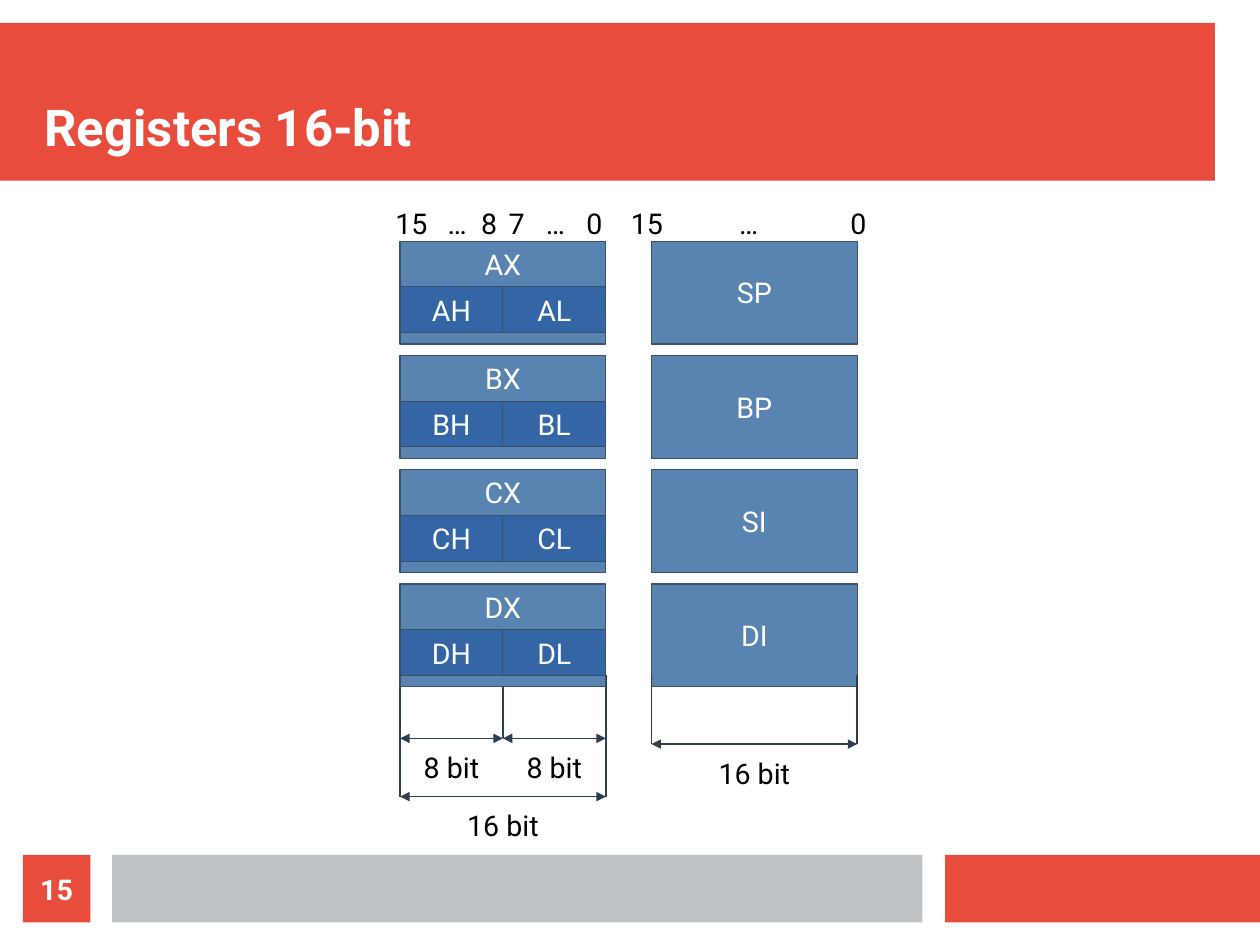
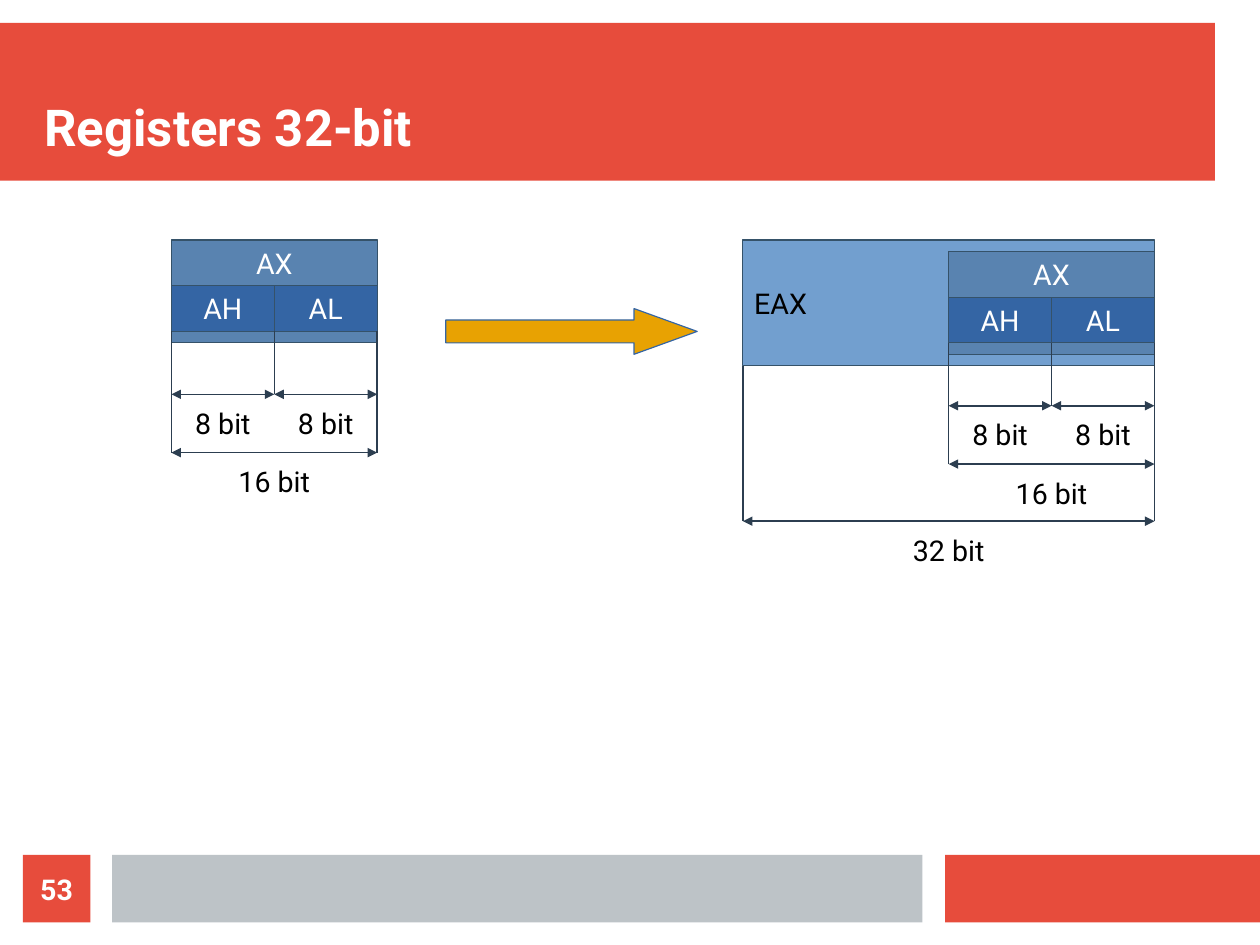
from lxml import etree
from pptx import Presentation
from pptx import util as u
from pptx.dml.color import RGBColor
from pptx.enum import shapes, text
from pptx.oxml.ns import qn

FONT = "Roboto"
RED, GRAY, WHITE, BLACK = "E74C3C", "BDC3C7", "FFFFFF", "000000"
BYTE_FILL, WORD_FILL, DWORD_FILL = "3465A4", "5983B0", "729FCF"
EDGE, RULE, ARROW = "355269", "2C3E50", "E8A202"

FOOT_TOP, FOOT_H = 7.48, 0.59
BYTE, WORD, DWORD = 0.9, 1.8, 3.6
WORD_H, ROW, LABEL_H = 0.9, 0.4, 0.3
HALF_DROP, WORD_DROP = 0.55, 1.06
MIDDLE, TOP, BOTTOM = (text.MSO_ANCHOR.MIDDLE, text.MSO_ANCHOR.TOP,
                       text.MSO_ANCHOR.BOTTOM)
LEFT, CENTER = text.PP_ALIGN.LEFT, text.PP_ALIGN.CENTER


def inches(*lengths):
    return [u.Inches(n) for n in lengths]


def paint(fmt, color):
    fmt.solid()
    fmt.fore_color.rgb = RGBColor.from_string(color)


def write(sp, words, size=18, color=BLACK, bold=False, align=CENTER,
          anchor=MIDDLE, inset=(0.1, 0.05), tabs=()):
    tf = sp.text_frame
    tf.word_wrap = True
    tf.vertical_anchor = anchor
    tf.margin_left = tf.margin_right = u.Inches(inset[0])
    tf.margin_top = tf.margin_bottom = u.Inches(inset[1])
    p = tf.paragraphs[0]
    p.alignment = align
    if tabs:
        stops = etree.SubElement(p._p.get_or_add_pPr(), qn("a:tabLst"))
        for stop in tabs:
            etree.SubElement(stops, qn("a:tab"), pos=str(u.Inches(stop)),
                             algn="ctr")
    r = p.add_run()
    r.text = words
    r.font.name, r.font.size, r.font.bold = FONT, u.Pt(size), bold
    paint(r.font.fill, color)


def label(s, x, y, w, h, words, **fmt):
    write(s.shapes.add_textbox(*inches(x, y, w, h)), words, **fmt)


def block(s, x, y, w, h, fill, line=None, words=None,
          kind=shapes.MSO_SHAPE.RECTANGLE, **fmt):
    sp = s.shapes.add_shape(kind, *inches(x, y, w, h))
    sp.shadow.inherit = False
    paint(sp.fill, fill)
    if line:
        paint(sp.line.fill, line)
        sp.line.width = 0
    else:
        sp.line.fill.background()
    if words:
        write(sp, words, **fmt)
    return sp


def rule(s, x1, y1, x2, y2, arrows=False):
    c = s.shapes.add_connector(shapes.MSO_CONNECTOR.STRAIGHT,
                               *inches(x1, y1, x2, y2))
    paint(c.line.fill, RULE)
    c.line.width = u.Pt(1)
    if arrows:
        ln = c.line._get_or_add_ln()
        for end in ("a:headEnd", "a:tailEnd"):
            etree.SubElement(ln, qn(end), type="triangle")
    etree.SubElement(c._element.spPr, qn("a:effectLst"))


def ruler(s, x, y, w, drop, words, ends=(0, 1)):
    for share in ends:
        rule(s, x + w * share, y, x + w * share, y + drop)
    rule(s, x, y + drop, x + w, y + drop, arrows=True)
    label(s, x, y + drop + 0.1, w, LABEL_H, words)


def word_ruler(s, x, y):
    ruler(s, x, y, BYTE, HALF_DROP, "8 bit", ends=())
    ruler(s, x + BYTE, y, BYTE, HALF_DROP, "8 bit", ends=(0,))
    ruler(s, x, y, WORD, WORD_DROP, "16 bit")


def split_register(s, x, y, letter):
    block(s, x, y, WORD, WORD_H, WORD_FILL, EDGE, letter + "X",
          color=WHITE, anchor=TOP)
    for i, half in enumerate("HL"):
        block(s, x + i * BYTE, y + ROW, BYTE, ROW, BYTE_FILL, EDGE,
              letter + half, color=WHITE)


def bit_scale(s, x, w, first, last, tabs):
    label(s, x, 1.8, w, LABEL_H, f"{first}\t…\t{last}", align=LEFT,
          inset=(0, 0.05), tabs=tabs)


def new_slide(prs, title, number):
    s = prs.slides.add_slide(prs.slide_layouts[6])
    for x, y, w, h, fill in ((0, 0.2, 10.63, 1.38, RED),
                             (8.27, FOOT_TOP, 2.76, FOOT_H, RED),
                             (0.98, FOOT_TOP, 7.09, FOOT_H, GRAY)):
        block(s, x, y, w, h, fill)
    label(s, 0.39, 0.39, 10.24, 0.98, title, size=32, color=WHITE, bold=True,
          align=LEFT, anchor=BOTTOM, inset=(0, 0))
    block(s, 0.2, FOOT_TOP, FOOT_H, FOOT_H, RED, words=number, color=WHITE,
          bold=True, inset=(0, 0))
    return s


def registers_16(prs):
    s = new_slide(prs, "Registers 16-bit", "15")
    left, right, top, step = 3.5, 5.7, 2.11, 1
    ruler_top = top + 3 * step + 2 * ROW
    word_ruler(s, left, ruler_top)
    for i, (letter, name) in enumerate(zip("ABCD", ("SP", "BP", "SI", "DI"))):
        split_register(s, left, top + i * step, letter)
        block(s, right, top + i * step, WORD, WORD_H, WORD_FILL, EDGE, name,
              color=WHITE)
    ruler(s, right, ruler_top, WORD, 0.6, "16 bit")
    bit_scale(s, left - 0.04, 0.94, "15", "8", (0.54, 0.82))
    bit_scale(s, left + BYTE + 0.05, 0.86, "7", "0", (0.41, 0.75))
    bit_scale(s, right - 0.18, 2.08, "15", "0", (1.03, 1.99))


def registers_32(prs):
    s = new_slide(prs, "Registers 32-bit", "53")
    before, after, top = 1.5, 6.5, 2.1
    inner, inner_top, eax_h = after + WORD, top + 0.1, 1.1
    block(s, after, top, DWORD, eax_h, DWORD_FILL, EDGE, "EAX", align=LEFT)
    for x, y in ((before, top), (inner, inner_top)):
        split_register(s, x, y, "A")
        word_ruler(s, x, y + 2 * ROW)
    ruler(s, after, top + eax_h, DWORD, 1.36, "32 bit")
    arrow = block(s, 3.9, 2.7, 2.2, ROW, ARROW, BYTE_FILL,
                  kind=shapes.MSO_SHAPE.RIGHT_ARROW)
    arrow.adjustments[0], arrow.adjustments[1] = 0.5, 1.38


def main():
    prs = Presentation()
    prs.slide_width, prs.slide_height = u.Cm(28), u.Cm(21)
    registers_16(prs)
    registers_32(prs)
    prs.save("out.pptx")


if __name__ == "__main__":
    main()
